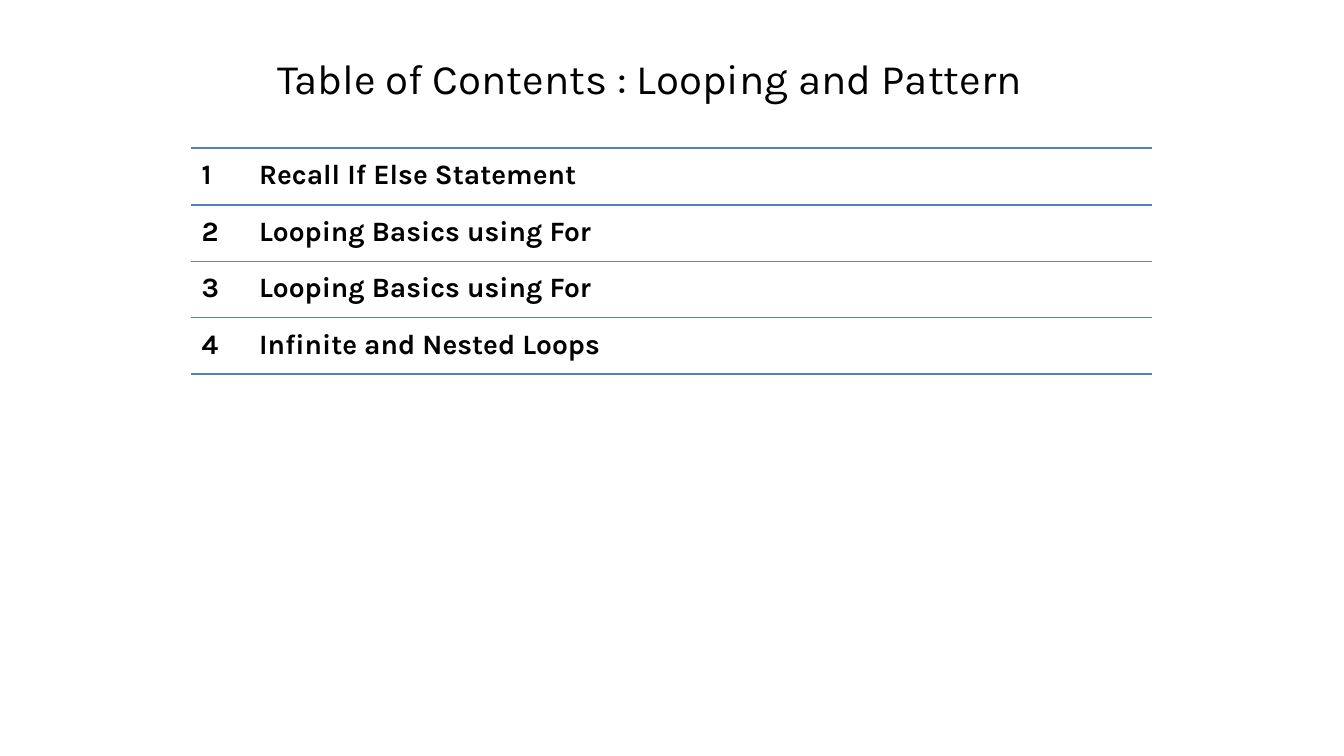
from dataclasses import dataclass

from lxml.etree import SubElement
from pptx import Presentation
from pptx.dml.color import RGBColor
from pptx.enum.text import MSO_ANCHOR as Anchor, PP_ALIGN as Align
from pptx.oxml.ns import qn
from pptx.slide import Slide
from pptx.table import _Cell as Cell
from pptx.text.text import TextFrame
from pptx.util import Inches, Pt

COLORS = {"text": "000000", "rule": "4F81BD", "divider": "7F7F7F"}
FONT = "Karla"
SLIDE_W, SLIDE_H = 13.33, 7.5
LEFT, TOP = 1.89, 1.47
COLUMNS = (0.57, 8.97)
ROW_H = 0.56


@dataclass(frozen=True)
class Rule:
    color: str
    points: float


@dataclass(frozen=True)
class Topic:
    name: str
    above: Rule
    below: Rule


BLUE = Rule("rule", 1.5)
GRAY = Rule("divider", 0.75)
TOPICS = (
    Topic("Recall If Else Statement", BLUE, BLUE),
    Topic("Looping Basics using For", BLUE, GRAY),
    Topic("Looping Basics using For", GRAY, BLUE),
    Topic("Infinite and Nested Loops", BLUE, BLUE),
)


def write(frame: TextFrame, words: str, size: float, bold: bool, align: Align) -> None:
    paragraph = frame.paragraphs[0]
    paragraph.alignment = align
    run = paragraph.add_run()
    run.text = words
    for key, value in {"name": FONT, "size": Pt(size), "bold": bold}.items():
        setattr(run.font, key, value)
    run.font.color.rgb = RGBColor.from_string(COLORS["text"])


def set_borders(cell: Cell, topic: Topic) -> None:
    """Rule the cell above and below, leaving its sides open."""
    properties = cell._tc.get_or_add_tcPr()
    sides = {"a:lnL": None, "a:lnR": None, "a:lnT": topic.above, "a:lnB": topic.below}
    for tag, rule in sides.items():
        line = SubElement(properties, qn(tag))
        if rule is None:
            SubElement(line, qn("a:noFill"))
            continue
        line.set("w", str(Pt(rule.points)))
        fill = SubElement(line, qn("a:solidFill"))
        SubElement(fill, qn("a:srgbClr"), val=COLORS[rule.color])


def fill_cell(cell: Cell, words: str, topic: Topic) -> None:
    for side in ("left", "right", "top", "bottom"):
        setattr(cell, f"margin_{side}", Inches(0.11))
    set_borders(cell, topic)
    cell.fill.background()
    write(cell.text_frame, words, 20, True, Align.LEFT)


def add_title(slide: Slide, words: str) -> None:
    title = slide.shapes.title
    box = {"left": 1.67, "top": 0.42, "width": 9.55, "height": 0.71}
    for key, value in box.items():
        setattr(title, key, Inches(value))
    frame = title.text_frame
    for side in ("left", "right", "top", "bottom"):
        setattr(frame, f"margin_{side}", Inches(0.1))
    frame.vertical_anchor = Anchor.MIDDLE
    write(frame, words, 30, False, Align.CENTER)


def add_contents(slide: Slide) -> None:
    contents = slide.shapes.add_table(
        len(TOPICS), len(COLUMNS), Inches(LEFT), Inches(TOP),
        Inches(sum(COLUMNS)), Inches(ROW_H * len(TOPICS)),
    ).table
    contents.first_row = contents.horz_banding = False
    for column, width in zip(contents.columns, COLUMNS):
        column.width = Inches(width)
    for number, (row, topic) in enumerate(zip(contents.rows, TOPICS), start=1):
        row.height = Inches(ROW_H)
        for cell, words in zip(row.cells, (str(number), topic.name)):
            fill_cell(cell, words, topic)


def main() -> None:
    deck = Presentation()
    deck.slide_width, deck.slide_height = Inches(SLIDE_W), Inches(SLIDE_H)
    slide = deck.slides.add_slide(deck.slide_layouts[5])
    add_title(slide, "Table of Contents : Looping and Pattern")
    add_contents(slide)
    deck.save("out.pptx")


if __name__ == "__main__":
    main()
